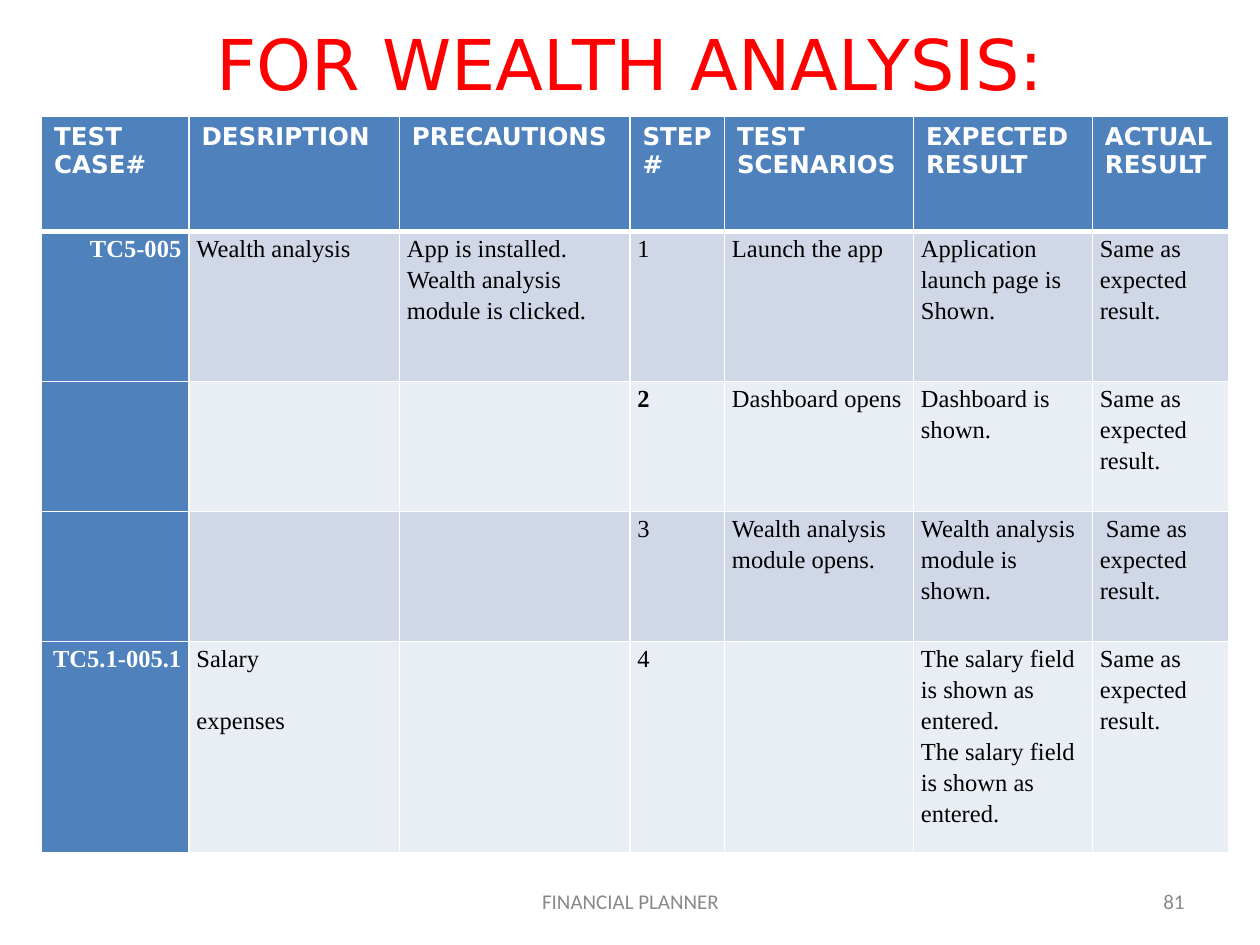
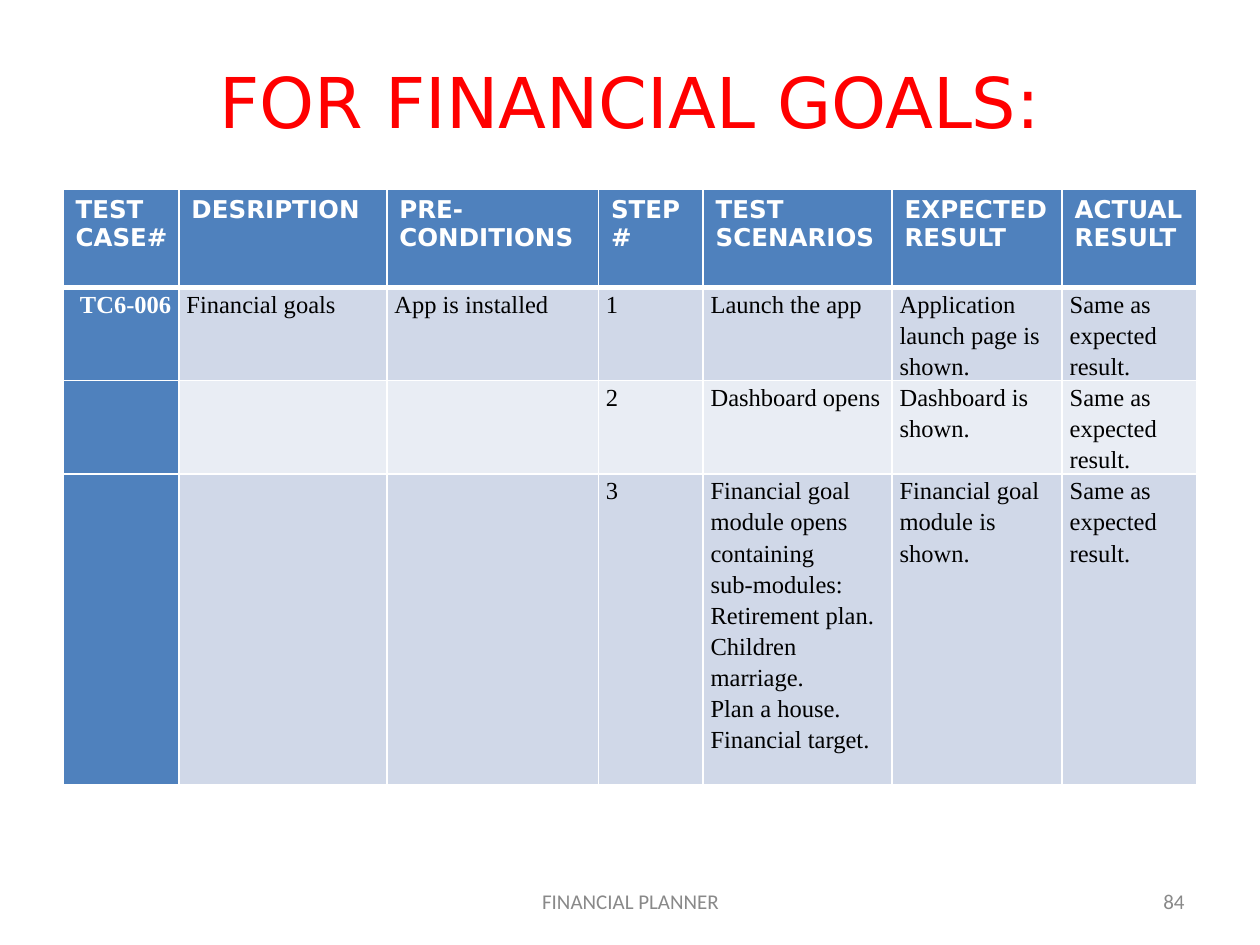
from lxml import etree
from pptx import Presentation
from pptx.dml.color import RGBColor
from pptx.enum.text import MSO_ANCHOR, PP_ALIGN
from pptx.oxml.ns import qn
from pptx.util import Inches, Pt

RED = RGBColor(0xFF, 0x00, 0x00)
WHITE = RGBColor(0xFF, 0xFF, 0xFF)
BLACK = RGBColor(0x00, 0x00, 0x00)
GRAY = RGBColor(0x89, 0x89, 0x89)
BLUE = RGBColor(0x4F, 0x81, 0xBD)
BANDS = [RGBColor(0xE9, 0xED, 0xF4), RGBColor(0xD0, 0xD8, 0xE8)]
HEAD_FONT, CELL_FONT, FOOT_FONT = "DejaVu Sans", "Times New Roman", "Calibri"
SAME = "Same as\nexpected\nresult."


def write(tf, text, font=CELL_FONT, size=14, color=BLACK, bold=False,
          align=PP_ALIGN.LEFT, spacing=None, gap=0):
    tf.word_wrap = True
    for i, line in enumerate(text.split("\n")):
        p = tf.paragraphs[0] if i == 0 else tf.add_paragraph()
        p.alignment = align
        if spacing:
            p.line_spacing = spacing
        if i and gap:
            p.space_before = Pt(gap)
        r = p.add_run()
        r.text = line
        r.font.name = font
        r.font.size = Pt(size)
        r.font.bold = bold
        r.font.color.rgb = color


def add_borders(cell, bottom):
    tcPr = cell._tc.get_or_add_tcPr()
    for side, width in (("L", 1), ("R", 1), ("T", 1), ("B", bottom)):
        ln = etree.SubElement(tcPr, qn("a:ln" + side), w=str(Pt(width)))
        fill = etree.SubElement(ln, qn("a:solidFill"))
        etree.SubElement(fill, qn("a:srgbClr"), val=str(WHITE))


slides = [
    {
        "title": "FOR WEALTH ANALYSIS:", "title_top": 0, "title_height": 1,
        "number": "81", "left": 0.33, "top": 0.92,
        "cols": [1.17, 1.67, 1.83, 0.75, 1.5, 1.42, 1.08],
        "heights": [0.92, 1.19, 1.03, 1.03, 1.68],
        "third_head": "PRECAUTIONS", "bold_cells": {(2, 3)},
        "gaps": {(4, 1): 18},
        "rows": [
            ["TC5-005", "Wealth analysis",
             "App is installed.\nWealth analysis\nmodule is clicked.", "1",
             "Launch the app", "Application\nlaunch page is\nShown.", SAME],
            ["", "", "", "2", "Dashboard opens", "Dashboard is\nshown.", SAME],
            ["", "", "", "3", "Wealth analysis module opens.",
             "Wealth analysis module is\nshown.", " " + SAME],
            ["TC5.1-005.1", "Salary\nexpenses", "", "4", "",
             "\n".join(["The salary field is shown as\nentered."] * 2), SAME],
        ],
    },
    {
        "title": "FOR FINANCIAL GOALS:", "title_top": 0.17, "title_height": 1.25,
        "number": "84", "left": 0.5, "top": 1.5,
        "cols": [0.92, 1.65, 1.68, 0.83, 1.5, 1.35, 1.07],
        "heights": [0.78, 0.74, 0.74, 2.47],
        "third_head": "PRE-CONDITIONS", "bold_cells": set(), "gaps": {},
        "rows": [
            ["TC6-006", "Financial goals", "App is installed", "1",
             "Launch the app", "Application\nlaunch page is shown.", SAME],
            ["", "", "", "2", "Dashboard opens", "Dashboard is shown.", SAME],
            ["", "", "", "3",
             "Financial goal\nmodule opens\ncontaining\nsub-modules:\n"
             "Retirement plan.\nChildren\nmarriage.\nPlan a house.\nFinancial target.",
             "Financial goal module is\nshown.", SAME],
        ],
    },
]

prs = Presentation()
prs.slide_width, prs.slide_height = Inches(10), Inches(7.5)

for data in slides:
    s = prs.slides.add_slide(prs.slide_layouts[5])
    title = s.shapes.title
    title.left, title.top = Inches(0.5), Inches(data["title_top"])
    title.width, title.height = Inches(9), Inches(data["title_height"])
    title.text_frame.vertical_anchor = MSO_ANCHOR.MIDDLE
    write(title.text_frame, data["title"], font=HEAD_FONT, size=40, color=RED,
          align=PP_ALIGN.CENTER)

    heads = ["TEST CASE#", "DESRIPTION", data["third_head"], "STEP#",
             "TEST SCENARIOS", "EXPECTED RESULT", "ACTUAL RESULT"]
    rows = [heads] + data["rows"]
    table = s.shapes.add_table(
        len(rows), len(heads), Inches(data["left"]), Inches(data["top"]),
        Inches(sum(data["cols"])), Inches(sum(data["heights"]))).table
    for col, width in zip(table.columns, data["cols"]):
        col.width = Inches(width)
    for row, height in zip(table.rows, data["heights"]):
        row.height = Inches(height)

    for i, row in enumerate(rows):
        for j, text in enumerate(row):
            cell = table.cell(i, j)
            add_borders(cell, 3 if i == 0 else 1)
            cell.fill.solid()
            cell.fill.fore_color.rgb = BLUE if i == 0 or j == 0 else BANDS[i % 2]
            if not text:
                continue
            if i == 0:
                cell.margin_right = Inches(0.06)
                write(cell.text_frame, text, font=HEAD_FONT, color=WHITE, bold=True)
                continue
            cell.margin_left = cell.margin_right = Inches(0.06)
            cell.margin_top = cell.margin_bottom = 0
            write(cell.text_frame, text, spacing=1.15,
                  color=WHITE if j == 0 else BLACK,
                  bold=j == 0 or (i, j) in data["bold_cells"],
                  align=PP_ALIGN.RIGHT if j == 0 else PP_ALIGN.LEFT,
                  gap=data["gaps"].get((i, j), 0))

    for text, left, width, align in (
            (data["number"], 7.17, 2.33, PP_ALIGN.RIGHT),
            ("FINANCIAL PLANNER", 3.42, 3.17, PP_ALIGN.CENTER)):
        sp = s.shapes.add_textbox(Inches(left), Inches(6.95), Inches(width), Inches(0.4))
        sp.text_frame.vertical_anchor = MSO_ANCHOR.MIDDLE
        write(sp.text_frame, text, font=FOOT_FONT, size=12, color=GRAY, align=align)

prs.save("out.pptx")
